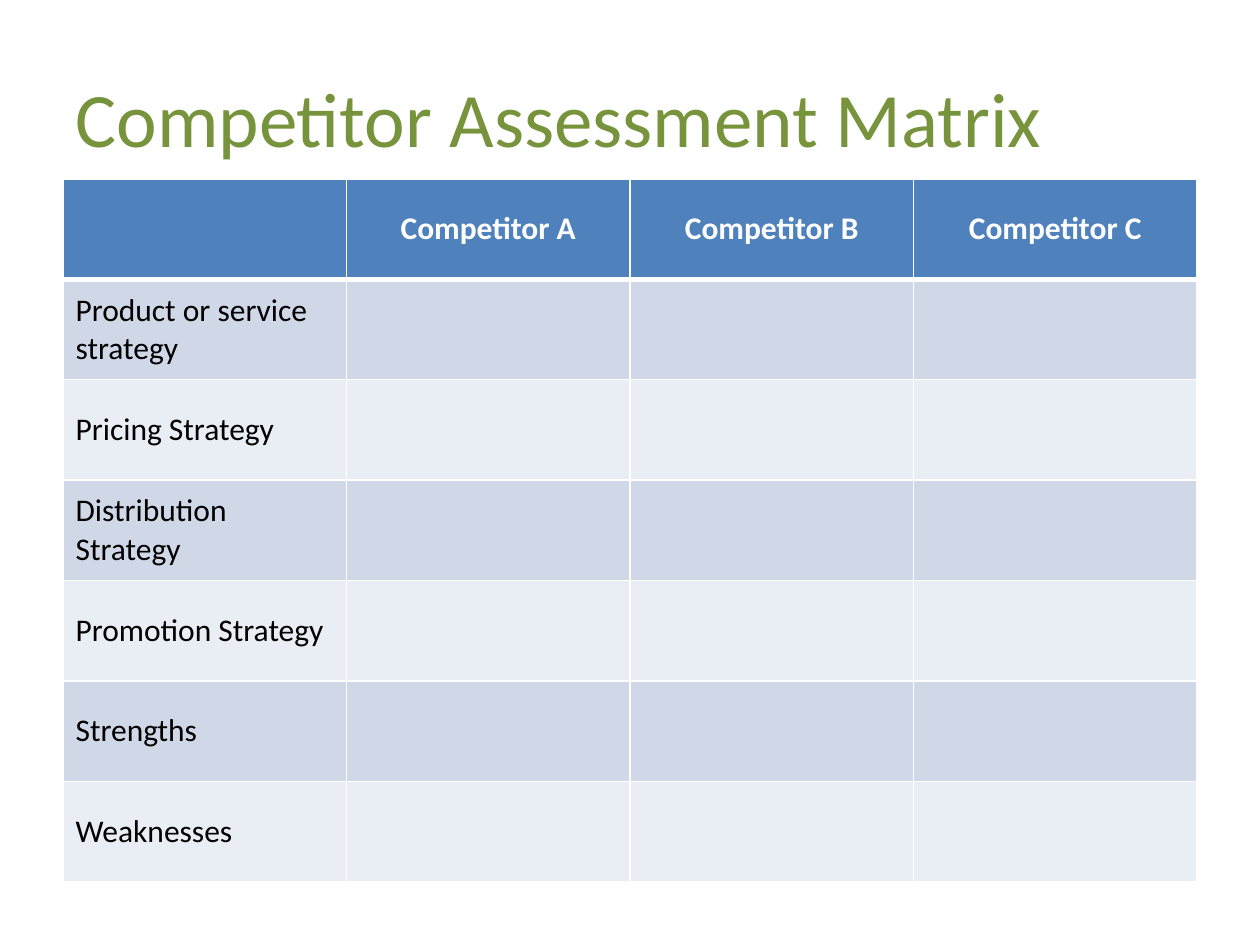
from typing import NamedTuple

from lxml import etree
from pptx import Presentation
from pptx import util as u
from pptx.dml.color import RGBColor
from pptx.enum import text
from pptx.oxml.ns import qn

FONT = "Calibri"
WHITE = "FFFFFF"
HEADER_FILL = "4F81BD"
BAND_FILLS = ("D0D8E8", "E9EDF4")
COMPETITORS = ("Competitor A", "Competitor B", "Competitor C")
CRITERIA = (
    "Product or service strategy",
    "Pricing Strategy",
    "Distribution Strategy",
    "Promotion Strategy",
    "Strengths",
    "Weaknesses",
)


class CellStyle(NamedTuple):
    fill: str
    color: str
    bold: bool
    align: text.PP_ALIGN
    top: float = 1
    bottom: float = 1


def rgb(value: str) -> RGBColor:
    return RGBColor.from_string(value)


def set_font(paragraph, size: float, color: str, bold: bool = False) -> None:
    font = paragraph.font
    font.name, font.size, font.bold = FONT, u.Pt(size), bold
    font.color.rgb = rgb(color)


def set_borders(cell, style: CellStyle) -> None:
    """Draw white cell borders; they must precede the fill in the XML."""
    properties = cell._tc.get_or_add_tcPr()
    widths = {"lnL": 1, "lnR": 1, "lnT": style.top, "lnB": style.bottom}
    for tag, width in widths.items():
        line = etree.SubElement(properties, qn(f"a:{tag}"), w=str(u.Pt(width)))
        fill = etree.SubElement(line, qn("a:solidFill"))
        etree.SubElement(fill, qn("a:srgbClr"), val=WHITE)


def draw_cell(cell, label: str, style: CellStyle) -> None:
    set_borders(cell, style)
    cell.fill.solid()
    cell.fill.fore_color.rgb = rgb(style.fill)
    cell.vertical_anchor = text.MSO_ANCHOR.MIDDLE
    cell.text = label
    paragraph = cell.text_frame.paragraphs[0]
    paragraph.alignment = style.align
    set_font(paragraph, 18, style.color, style.bold)


def row_style(row: int) -> CellStyle:
    if row == 0:
        return CellStyle(HEADER_FILL, WHITE, True, text.PP_ALIGN.CENTER, bottom=3)
    return CellStyle(BAND_FILLS[(row - 1) % 2], "000000", False,
                     text.PP_ALIGN.LEFT, top=3 if row == 1 else 1)


def add_title(page) -> None:
    title = page.shapes.title
    title.left, title.top = u.Inches(0.5), u.Inches(0.3)
    title.width, title.height = u.Inches(9), u.Inches(1.25)
    title.text_frame.text = "Competitor Assessment Matrix"
    title.text_frame.vertical_anchor = text.MSO_ANCHOR.MIDDLE
    paragraph = title.text_frame.paragraphs[0]
    paragraph.alignment = text.PP_ALIGN.LEFT
    set_font(paragraph, 44, "77933C")


def add_matrix(page) -> None:
    blanks = ("",) * len(COMPETITORS)
    rows = [("", *COMPETITORS)] + [(name, *blanks) for name in CRITERIA]
    table = page.shapes.add_table(
        len(rows), len(rows[0]),
        u.Inches(0.5), u.Inches(1.42), u.Inches(9), u.Inches(5.58),
    ).table
    for row, labels in enumerate(rows):
        for column, label in enumerate(labels):
            draw_cell(table.cell(row, column), label, row_style(row))


def main() -> None:
    deck = Presentation()
    deck.slide_width, deck.slide_height = u.Inches(10), u.Inches(7.5)
    # Title-only layout
    page = deck.slides.add_slide(deck.slide_layouts[5])
    add_title(page)
    add_matrix(page)
    deck.save("out.pptx")


if __name__ == "__main__":
    main()
